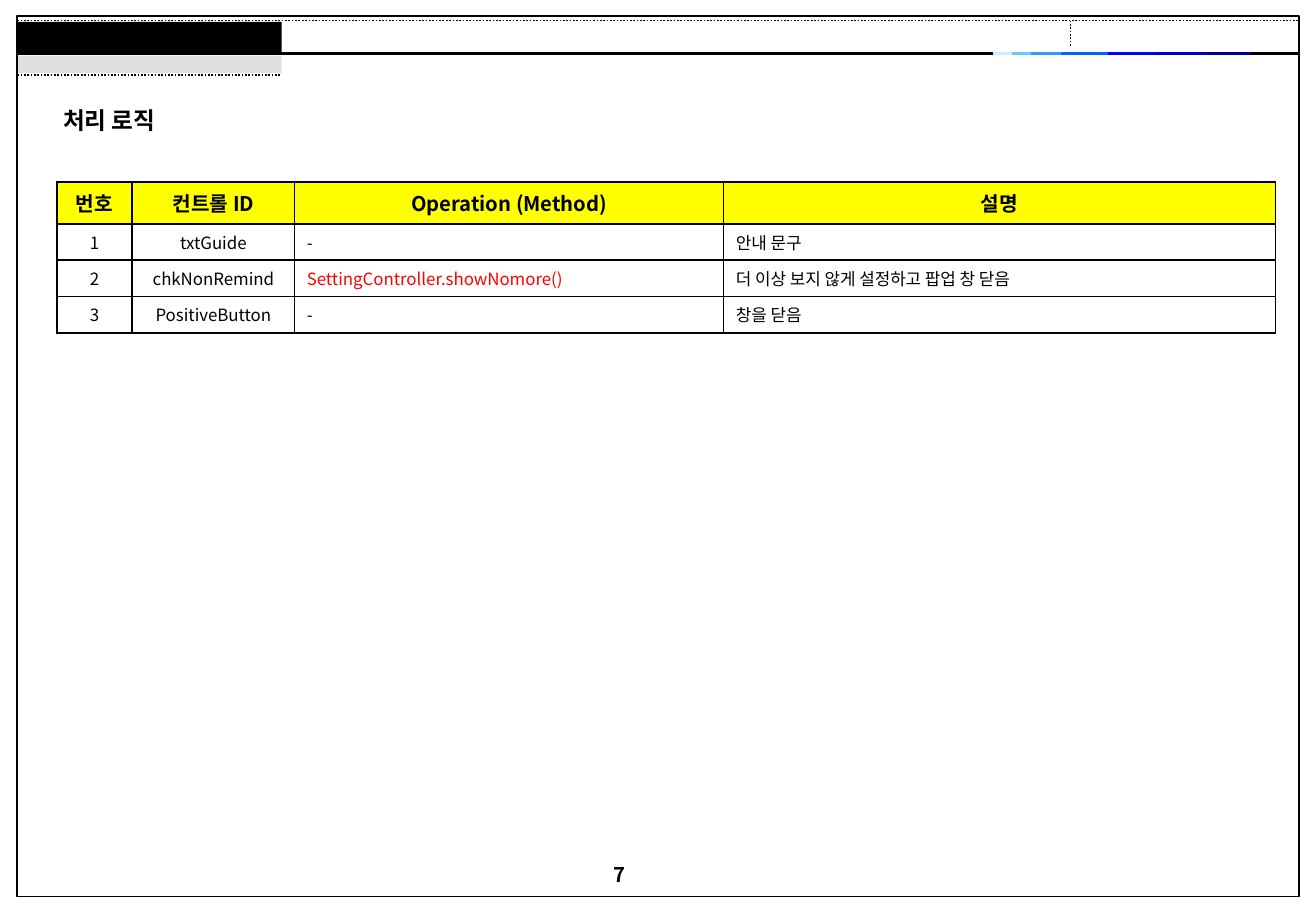
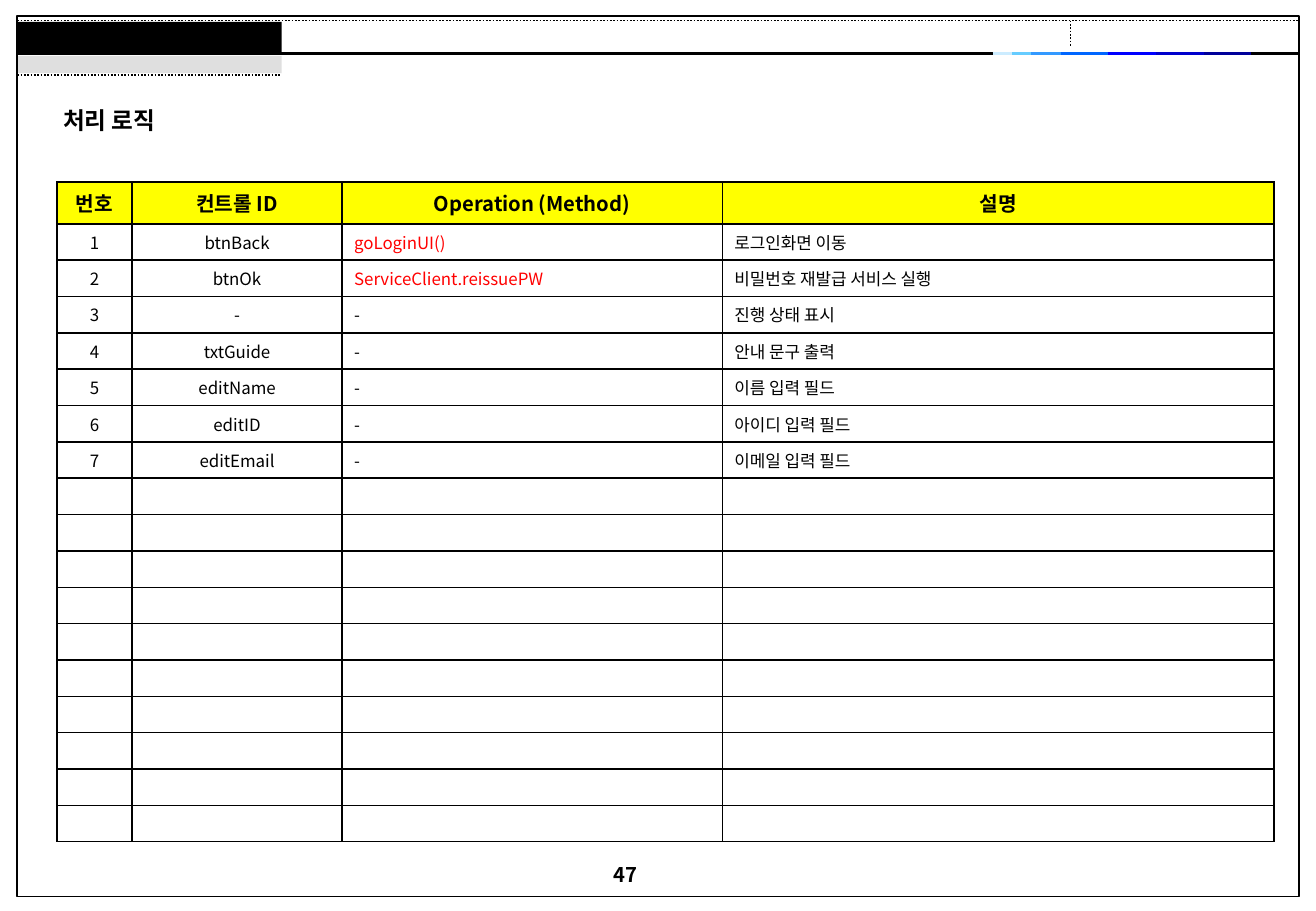
from dataclasses import dataclass
from itertools import pairwise

from lxml import etree
from pptx import Presentation
from pptx.dml.color import RGBColor
from pptx.enum import dml, shapes, text
from pptx.oxml import ns
from pptx.util import Cm, Pt


@dataclass(frozen=True)
class Theme:
    font: str = "Noto Sans CJK KR"
    ink: str = "000000"
    call: str = "FF0000"
    header: str = "FFFF00"
    tab: str = "C0C0C0"
    accents: tuple = ("CCECFF", "66CCFF", "3399FF", "0066FF",
                      "0000FF", "0000CC", "000099")
    title_size: float = 14
    header_size: float = 12
    body_size: float = 10
    thin: float = 1
    thick: float = 2.25


THEME = Theme()
FRAME_LEFT, FRAME_RIGHT = 0.36, 27.15
BAND_Y, BAND_TOP = 1.12, 0.43
ACCENT_EDGES = (20.75, 21.16, 21.56, 22.17, 23.16, 24.16, 25.17, 26.16)
HEADER_HEIGHT, ROW_HEIGHT = 0.87, 0.76
HEADINGS = ("번호", "컨트롤 ID", "Operation (Method)", "설명")
TITLE = "처리 로직"

POPUP_CONTROLS = [
    ("txtGuide", "-", "안내 문구"),
    ("chkNonRemind", "SettingController.showNomore()",
     "더 이상 보지 않게 설정하고 팝업 창 닫음"),
    ("PositiveButton", "-", "창을 닫음"),
]
PASSWORD_CONTROLS = [
    ("btnBack", "goLoginUI()", "로그인화면 이동"),
    ("btnOk", "ServiceClient.reissuePW", "비밀번호 재발급 서비스 실행"),
    ("-", "-", "진행 상태 표시"),
    ("txtGuide", "-", "안내 문구 출력"),
    ("editName", "-", "이름 입력 필드"),
    ("editID", "-", "아이디 입력 필드"),
    ("editEmail", "-", "이메일 입력 필드"),
]


def rgb(color):
    return RGBColor.from_string(color)


def sub(parent, tag, **attributes):
    return etree.SubElement(parent, ns.qn(tag), **attributes)


def write(frame, content, size, bold=False, color=THEME.ink, centered=False):
    """Fill a text frame; an empty one only keeps its type size."""
    paragraph = frame.paragraphs[0]
    paragraph.alignment = text.PP_ALIGN.CENTER if centered else text.PP_ALIGN.LEFT
    if not content:
        sub(paragraph._p, "a:endParaRPr", sz=str(int(size * 100)))
        return
    run = paragraph.add_run()
    run.text = content
    run.font.size, run.font.bold, run.font.name = Pt(size), bold, THEME.font
    run.font.color.rgb = rgb(color)
    sub(run._r.get_or_add_rPr(), "a:ea", typeface=THEME.font)


def add_text(slide, content, left, top, width, height, **style):
    box = slide.shapes.add_textbox(Cm(left), Cm(top), Cm(width), Cm(height))
    box.text_frame.word_wrap = True
    write(box.text_frame, content, **style)


def add_line(slide, x1, y1, x2, y2, color=THEME.ink, weight=THEME.thin, dotted=False):
    line = slide.shapes.add_connector(
        shapes.MSO_CONNECTOR.STRAIGHT, Cm(x1), Cm(y1), Cm(x2), Cm(y2))
    line.line.color.rgb = rgb(color)
    line.line.width = Pt(weight)
    if dotted:
        line.line.dash_style = dml.MSO_LINE.ROUND_DOT
    sub(line._element.spPr, "a:effectLst")


def add_rect(slide, left, top, width, height, fill=None, opacity=100):
    """Draw a filled block, or a thin outline when no fill is given."""
    rect = slide.shapes.add_shape(
        shapes.MSO_SHAPE.RECTANGLE, Cm(left), Cm(top), Cm(width), Cm(height))
    rect.shadow.inherit = False
    if fill is None:
        rect.fill.background()
        rect.line.color.rgb = rgb(THEME.ink)
        rect.line.width = Pt(THEME.thin)
        return
    rect.line.fill.background()
    rect.fill.solid()
    rect.fill.fore_color.rgb = rgb(fill)
    if opacity < 100:
        tint = rect._element.spPr.find(".//" + ns.qn("a:srgbClr"))
        sub(tint, "a:alpha", val=str(opacity * 1000))


def add_page_frame(slide, page):
    add_rect(slide, FRAME_LEFT, 0.33, FRAME_RIGHT - FRAME_LEFT, 18.42)
    add_line(slide, FRAME_LEFT, BAND_Y, FRAME_RIGHT, BAND_Y, weight=THEME.thick)
    add_line(slide, FRAME_LEFT, BAND_TOP, FRAME_RIGHT, BAND_TOP, dotted=True)
    for (start, end), color in zip(pairwise(ACCENT_EDGES), THEME.accents):
        add_line(slide, start, BAND_Y, end, BAND_Y, color, THEME.thick)
    add_line(slide, 22.38, BAND_TOP, 22.38, 0.97, dotted=True)
    add_rect(slide, 0.38, 0.46, 5.51, 0.64, THEME.ink)
    add_rect(slide, 0.38, 1.17, 5.51, 0.36, THEME.tab, opacity=50)
    add_line(slide, FRAME_LEFT, 1.57, 5.87, 1.57, dotted=True)
    add_text(slide, str(page), 12.57, 17.91, 2.39, 1.12,
             size=THEME.header_size, bold=True)


def format_cell(cell, fill=None):
    properties = cell._tc.get_or_add_tcPr()
    for side in "LRTB":
        border = sub(properties, f"a:ln{side}", w=str(Pt(THEME.thin)))
        sub(sub(border, "a:solidFill"), "a:srgbClr", val=THEME.ink)
    cell.vertical_anchor = text.MSO_ANCHOR.MIDDLE
    if fill:
        cell.fill.solid()
        cell.fill.fore_color.rgb = rgb(fill)
    else:
        cell.fill.background()


def add_control_table(slide, controls, widths, blank_rows=0):
    rows = [(str(number), *control) for number, control in enumerate(controls, 1)]
    rows = [HEADINGS, *rows, *[("",) * len(HEADINGS)] * blank_rows]
    height = HEADER_HEIGHT + ROW_HEIGHT * (len(rows) - 1)
    table = slide.shapes.add_table(len(rows), len(widths), Cm(1.19), Cm(3.81),
                                   Cm(sum(widths)), Cm(height)).table
    table.first_row = table.horz_banding = False
    for column, width in zip(table.columns, widths):
        column.width = Cm(width)
    for r, values in enumerate(rows):
        heading = r == 0
        table.rows[r].height = Cm(HEADER_HEIGHT if heading else ROW_HEIGHT)
        for c, value in enumerate(values):
            cell = table.cell(r, c)
            format_cell(cell, THEME.header if heading else None)
            is_call = not heading and c == 2 and value != "-"
            write(cell.text_frame, value,
                  size=THEME.header_size if heading else THEME.body_size,
                  bold=heading, centered=heading or c < 2,
                  color=THEME.call if is_call else THEME.ink)


def add_logic_slide(deck, page, controls, widths, blank_rows=0):
    slide = deck.slides.add_slide(deck.slide_layouts[6])
    add_page_frame(slide, page)
    add_control_table(slide, controls, widths, blank_rows)
    add_text(slide, TITLE, 1.07, 2.08, 5.11, 0.86, size=THEME.title_size, bold=True)


def main():
    deck = Presentation()
    deck.slide_width, deck.slide_height = Cm(27.51), Cm(19.05)
    add_logic_slide(deck, 7, POPUP_CONTROLS, (1.57, 3.4, 8.97, 11.53))
    add_logic_slide(deck, 47, PASSWORD_CONTROLS, (1.57, 4.39, 7.95, 11.53),
                    blank_rows=10)
    deck.save("out.pptx")


if __name__ == "__main__":
    main()
